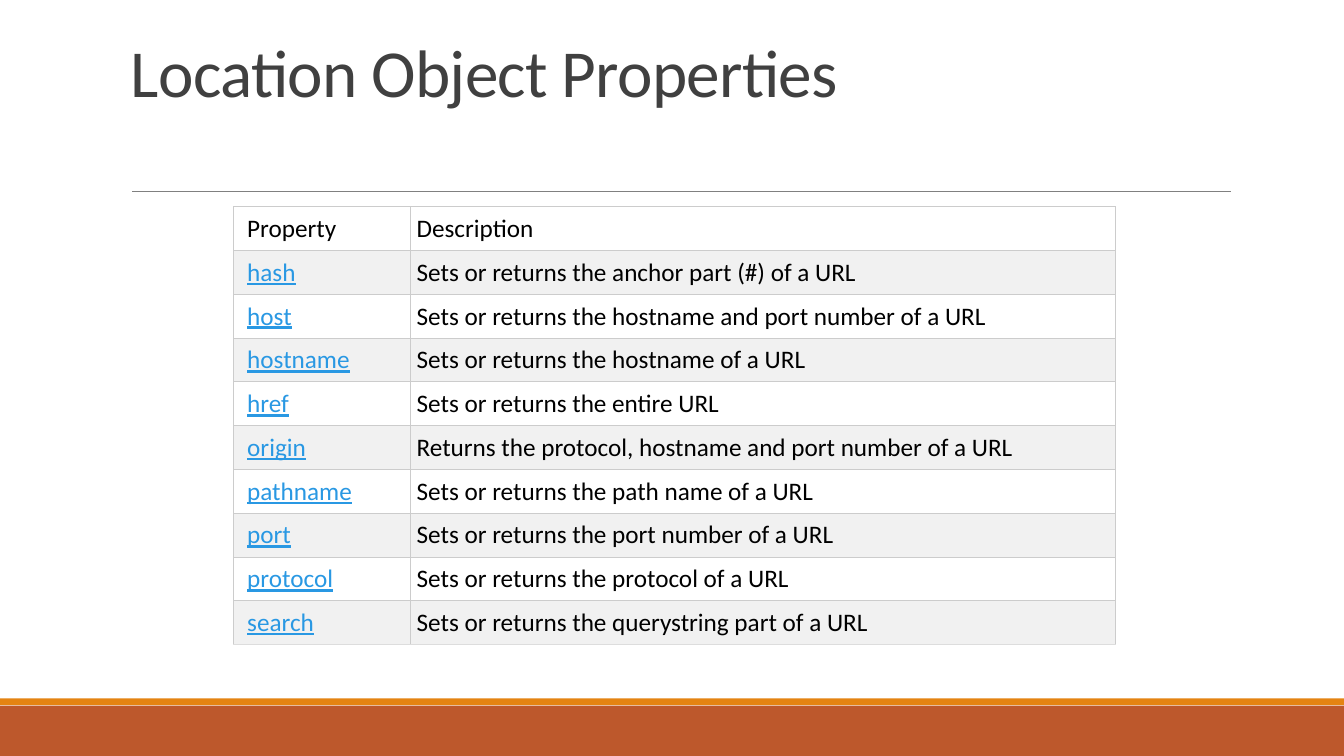
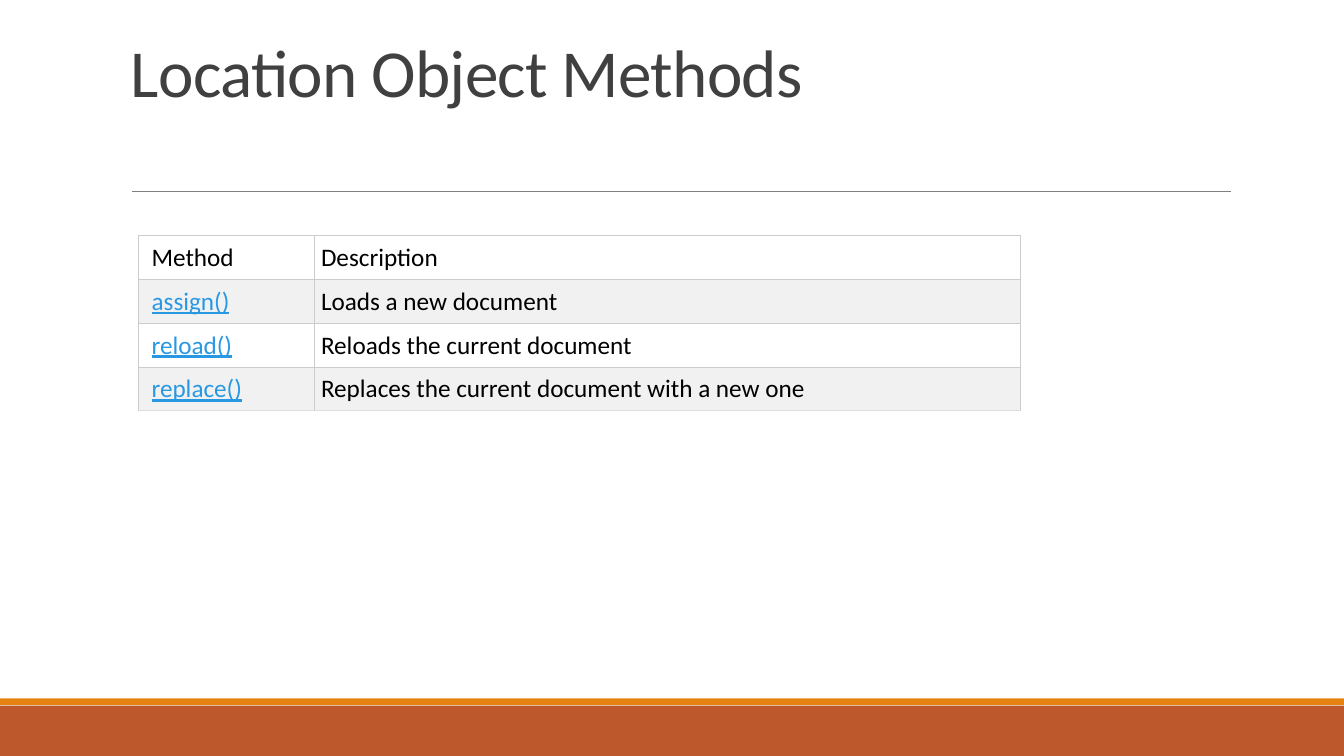
"""Build two slides of reference tables for the Location object."""
from lxml.etree import SubElement as Sub
from pptx import Presentation as Deck
from pptx.dml.color import RGBColor as RGB
from pptx.enum.shapes import MSO_CONNECTOR as Link, MSO_SHAPE as Shape
from pptx.enum.text import MSO_ANCHOR as Anchor
from pptx.oxml.ns import qn
from pptx.util import Cm, Pt

FONT = "Calibri"
RUST = RGB(0xBD, 0x58, 0x2C)
AMBER = RGB(0xE4, 0x83, 0x12)
GRAY = RGB(0x80, 0x80, 0x80)
DARK = RGB(0x40, 0x40, 0x40)
BLACK = RGB(0, 0, 0)
BLUE = RGB(0x29, 0x98, 0xE3)
WHITE = RGB(0xFF, 0xFF, 0xFF)
PALE = RGB(0xF1, 0xF1, 0xF1)
EDGE = RGB(0xCC, 0xCC, 0xCC)
BASE = RGB(0xDD, 0xDD, 0xDD)

WIDE, HIGH = Cm(33.87), Cm(19.05)
COLS = Cm(4.44), Cm(17.79)
ROW = Cm(1.1)
PAD = Cm(0.17)

PROPS = [
    ("Property", "Description"),
    ("hash", "Sets or returns the anchor part (#) of a URL"),
    ("host", "Sets or returns the hostname and port number of a URL"),
    ("hostname", "Sets or returns the hostname of a URL"),
    ("href", "Sets or returns the entire URL"),
    ("origin", "Returns the protocol, hostname and port number of a URL"),
    ("pathname", "Sets or returns the path name of a URL"),
    ("port", "Sets or returns the port number of a URL"),
    ("protocol", "Sets or returns the protocol of a URL"),
    ("search", "Sets or returns the querystring part of a URL"),
]
METHODS = [
    ("Method", "Description"),
    ("assign()", "Loads a new document"),
    ("reload()", "Reloads the current document"),
    ("replace()", "Replaces the current document with a new one"),
]


def write(frame, text, size=18, color=BLACK, under=False, lead=1.0, track=0):
    """Put one formatted run of text in a frame."""
    para = frame.paragraphs[0]
    para.line_spacing = lead
    run = para.add_run()
    run.text = text
    font = run.font
    font.name, font.size, font.underline = FONT, Pt(size), under
    font.color.rgb = color
    if track:
        run._r.get_or_add_rPr().set("spc", str(round(track * 100)))


def band(slide, top, high, color):
    """Draw a full-width band."""
    bar = slide.shapes.add_shape(Shape.RECTANGLE, 0, top, WIDE, high)
    bar.shadow.inherit = False
    bar.fill.solid()
    bar.fill.fore_color.rgb = color
    bar.line.fill.background()


def rule(slide, left, right, top):
    """Draw the thin line below the title."""
    line = slide.shapes.add_connector(Link.STRAIGHT, left, top, right, top)
    line.line.color.rgb = GRAY
    line.line.width = Pt(0.5)
    Sub(line._element.spPr, qn("a:effectLst"))


def title(slide, text):
    """Add the slide title."""
    box = slide.shapes.add_textbox(Cm(3.05), Cm(0.79), Cm(27.94), Cm(2.13))
    frame = box.text_frame
    frame.word_wrap = True
    frame.vertical_anchor = Anchor.BOTTOM
    write(frame, text, size=48, color=DARK, lead=0.85, track=-0.5)


def edge(cell, side, color):
    """Draw one border of a cell."""
    props = cell._tc.get_or_add_tcPr()
    line = Sub(props, qn(f"a:ln{side}"), w=str(Pt(0.6)))
    fill = Sub(line, qn("a:solidFill"))
    Sub(fill, qn("a:srgbClr"), val=str(color))


def grid(slide, left, top, rows):
    """Add a striped two-column table whose first column looks like links."""
    frame = slide.shapes.add_table(
        len(rows), len(COLS), left, top, sum(COLS), ROW * len(rows))
    table = frame.table
    table.first_row = table.horz_banding = False
    for col, wide in zip(table.columns, COLS):
        col.width = wide
    for r, row in enumerate(rows):
        table.rows[r].height = ROW
        for c, text in enumerate(row):
            cell = table.cell(r, c)
            cell.margin_left = PAD if c else 2 * PAD
            cell.margin_right = cell.margin_top = cell.margin_bottom = PAD
            for side in "LRTB":
                last = side == "B" and r == len(rows) - 1
                edge(cell, side, BASE if last else EDGE)
            cell.fill.solid()
            cell.fill.fore_color.rgb = PALE if r % 2 else WHITE
            link = r > 0 and c == 0
            write(cell.text_frame, text, color=BLUE if link else BLACK,
                  under=link)


def page(deck, name):
    """Add a slide with the shared bands, rule and title."""
    slide = deck.slides.add_slide(deck.slide_layouts[6])
    band(slide, Cm(17.78), Cm(1.27), RUST)
    band(slide, Cm(17.6), Cm(0.17), AMBER)
    rule(slide, Cm(3.33), Cm(31.01), Cm(4.83))
    title(slide, name)
    return slide


def main():
    """Build and save the deck."""
    deck = Deck()
    deck.slide_width, deck.slide_height = WIDE, HIGH
    grid(page(deck, "Location Object Properties"), Cm(5.89), Cm(5.21), PROPS)
    grid(page(deck, "Location Object Methods"), Cm(3.48), Cm(5.94), METHODS)
    deck.save("out.pptx")


if __name__ == "__main__":
    main()
